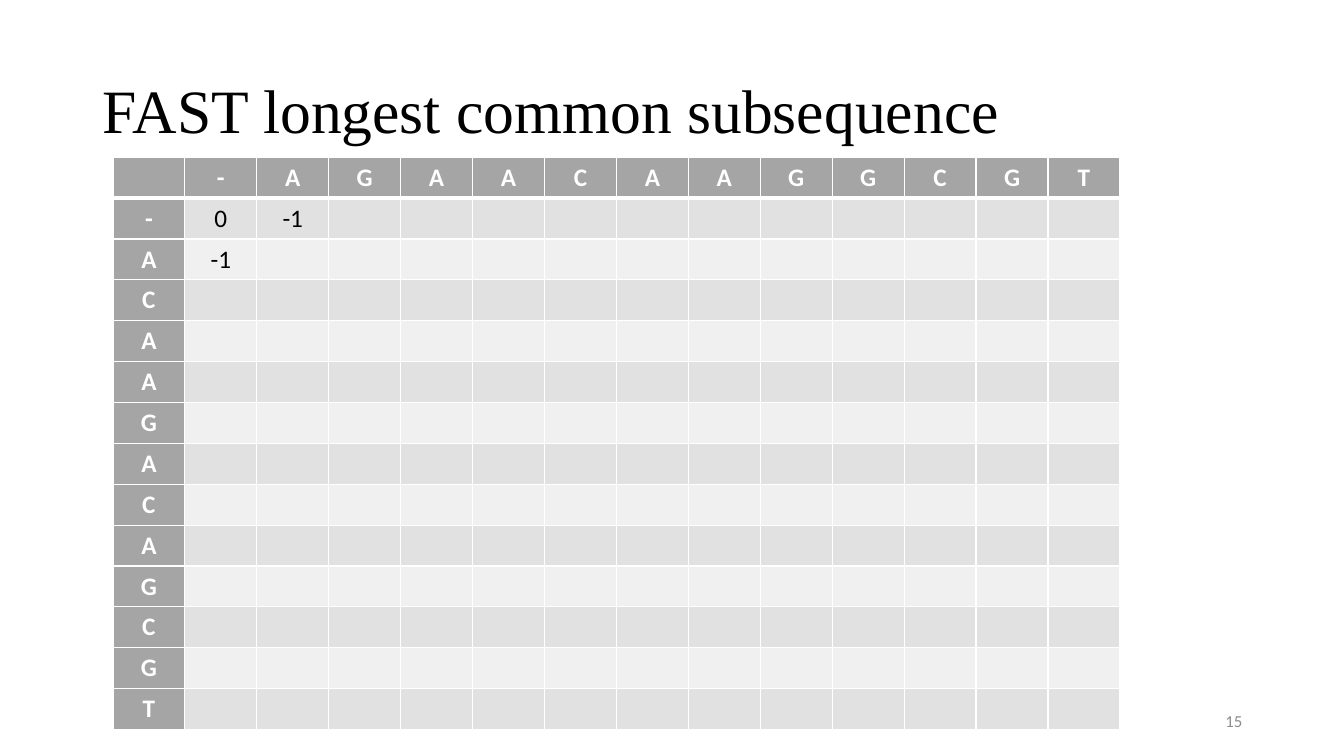
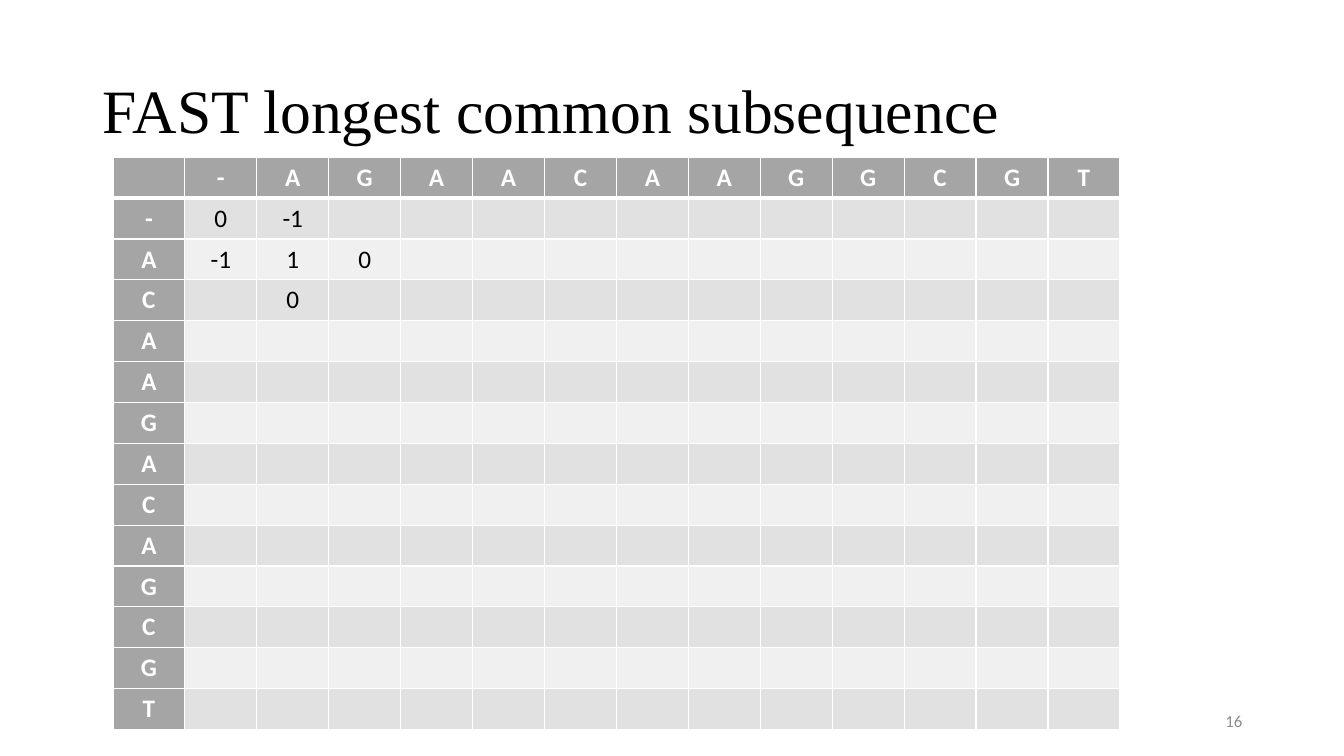
from dataclasses import dataclass

from pptx import Presentation
from pptx.dml.color import RGBColor
from pptx.enum.text import MSO_ANCHOR as Anchor, PP_ALIGN as Align
from pptx.oxml.ns import qn
from pptx.slide import Slide
from pptx.table import _Cell as Cell
from pptx.text.text import TextFrame as Frame
from pptx.util import Inches, Pt
from lxml.etree import SubElement as Sub

BLACK, WHITE, GRAY = "000000", "FFFFFF", "8C8C8C"
HEAD, BANDS = "A5A5A5", ("E1E1E1", "F0F0F0")
SERIF, SANS = "Times New Roman", "Calibri"
TITLE = "FAST longest common subsequence"
ACROSS, DOWN = "-AGAACAAGGCGT", "-ACAAGACAGCGT"
WIDE, HIGH = 9.99, 5.68


@dataclass(frozen=True)
class Score:
    row: int
    col: int
    text: str


@dataclass(frozen=True)
class Page:
    number: int
    scores: tuple[Score, ...]


START = (Score(1, 1, "0"), Score(1, 2, "-1"), Score(2, 1, "-1"))
NEXT = (Score(2, 2, "1"), Score(2, 3, "0"), Score(3, 2, "0"))
PAGES = (Page(15, START), Page(16, START + NEXT))


def color(code: str) -> RGBColor:
    return RGBColor.from_string(code)


def write(frame: Frame, text: str, *, size: float = 18, face: str = SANS,
          ink: str = BLACK, bold: bool = False, align: Align = Align.CENTER,
          space: float = 1) -> None:
    para = frame.paragraphs[0]
    para.alignment, para.line_spacing = align, space
    run = para.add_run()
    run.text = text
    font = run.font
    font.size, font.name, font.bold = Pt(size), face, bold
    font.color.rgb = color(ink)


def edge(cell: Cell, side: str, width: float) -> None:
    props = cell._tc.get_or_add_tcPr()
    line = Sub(props, qn(f"a:ln{side}"), w=str(Pt(width)))
    fill = Sub(line, qn("a:solidFill"))
    Sub(fill, qn("a:srgbClr"), val=WHITE)


def paint(cell: Cell, row: int, col: int) -> None:
    for side in "LRTB":
        thick = (row, side) in ((0, "B"), (1, "T"))
        edge(cell, side, 3 if thick else 1)
    cell.fill.solid()
    shade = HEAD if row == 0 or col == 0 else BANDS[(row - 1) % 2]
    cell.fill.fore_color.rgb = color(shade)


def grid(slide: Slide, scores: tuple[Score, ...]) -> None:
    rows, cols = len(DOWN) + 1, len(ACROSS) + 1
    table = slide.shapes.add_table(
        rows, cols, Inches(1.12), Inches(1.56), Inches(WIDE), Inches(HIGH)).table
    for col in table.columns:
        col.width = Inches(WIDE / cols)
    for row in table.rows:
        row.height = Inches(HIGH / rows)
    for row in range(rows):
        for col in range(cols):
            paint(table.cell(row, col), row, col)
    for col, base in enumerate(ACROSS, 1):
        write(table.cell(0, col).text_frame, base, ink=WHITE, bold=True)
    for row, base in enumerate(DOWN, 1):
        write(table.cell(row, 0).text_frame, base, ink=WHITE, bold=True)
    for score in scores:
        write(table.cell(score.row, score.col).text_frame, score.text)


def head(slide: Slide) -> None:
    title = slide.shapes.title
    title.left, title.top = Inches(0.92), Inches(0.4)
    title.width, title.height = Inches(11.5), Inches(1.45)
    title.text_frame.vertical_anchor = Anchor.MIDDLE
    write(title.text_frame, TITLE, size=44, face=SERIF,
          align=Align.LEFT, space=0.9)


def foot(slide: Slide, number: int) -> None:
    frame = slide.shapes.add_textbox(
        Inches(9.42), Inches(6.95), Inches(3), Inches(0.4)).text_frame
    frame.word_wrap = True
    frame.vertical_anchor = Anchor.MIDDLE
    write(frame, str(number), size=12, ink=GRAY, align=Align.RIGHT)


def main() -> None:
    deck = Presentation()
    deck.slide_width, deck.slide_height = Inches(13.33), Inches(7.5)
    for page in PAGES:
        slide = deck.slides.add_slide(deck.slide_layouts[5])
        head(slide)
        foot(slide, page.number)
        grid(slide, page.scores)
    deck.save("out.pptx")


if __name__ == "__main__":
    main()
